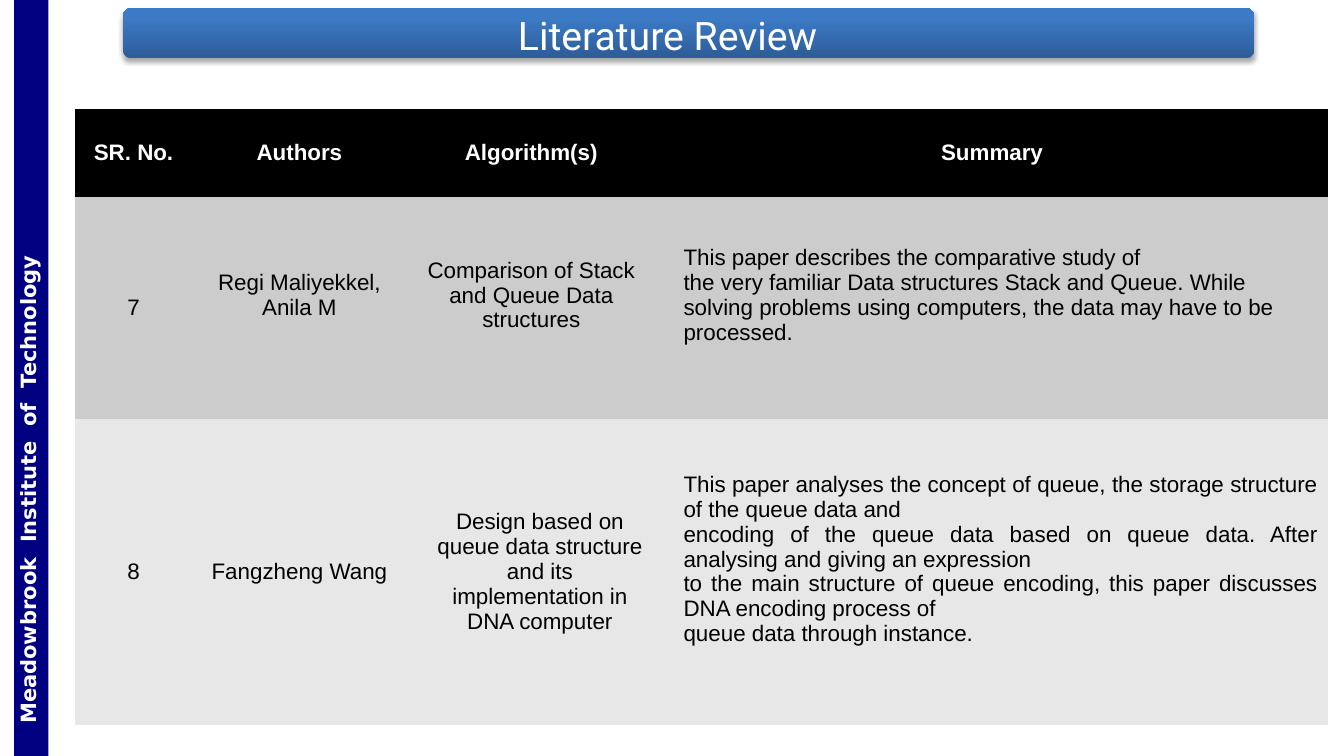
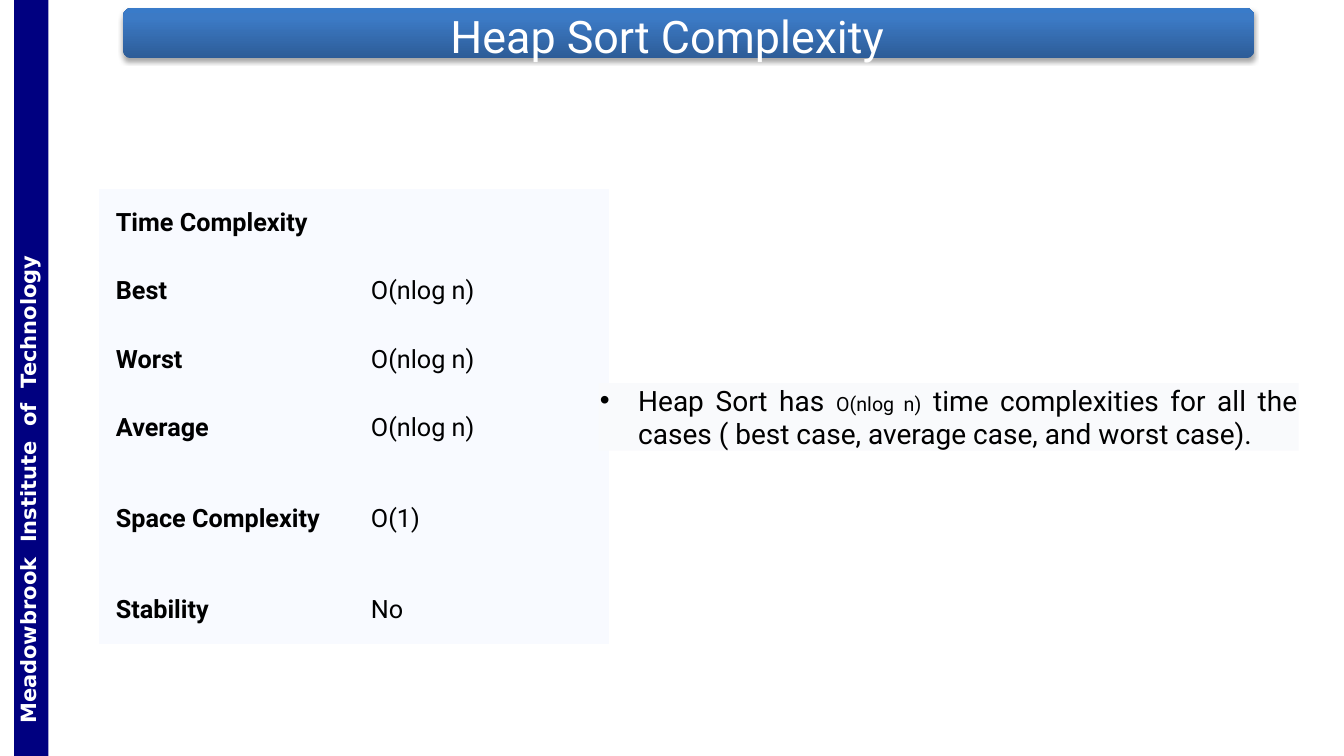
import copy
from dataclasses import dataclass, field

import lxml.etree
import pptx
import pptx.dml.color
import pptx.enum.shapes
import pptx.enum.text
import pptx.oxml
import pptx.oxml.ns
import pptx.util

Inches = pptx.util.Inches
Pt = pptx.util.Pt
ALIGN = pptx.enum.text.PP_ALIGN
MIDDLE = pptx.enum.text.MSO_ANCHOR.MIDDLE
SHAPES = pptx.enum.shapes.MSO_SHAPE
qn = pptx.oxml.ns.qn
NO_GRID_STYLE = "{2D5ABB26-0587-4C30-8999-92F81FD0307C}"


@dataclass(frozen=True)
class Theme:
    white: str = "FFFFFF"
    ink: str = "000000"
    navy: str = "000080"
    bar_stops: tuple = ((0, "2D5C97"), (0.8, "3C7AC5"), (1, "397BC9"))
    header_row: str = "000000"
    odd_row: str = "CCCCCC"
    even_row: str = "E7E7E7"
    complexity: str = "F8FAFF"
    remark: str = "F9FAFC"
    heading_font: str = "Roboto"
    review_font: str = "Arial"
    side_font: str = "DejaVu Sans"
    side_size: int = 15
    review_size: int = 16
    complexity_size: int = 18
    remark_size: int = 20
    notation_size: int = 14


THEME = Theme()


@dataclass(frozen=True)
class Run:
    text: str
    size: float
    font: str
    color: str = THEME.ink
    bold: bool = False


@dataclass(frozen=True)
class Cell:
    lines: tuple[str, ...]
    fill: str
    size: int
    font: str
    color: str = THEME.ink
    bold: bool = False
    align: ALIGN = ALIGN.LEFT
    indent: float = 0
    margins: dict = field(default_factory=dict)


def rgb(value: str) -> pptx.dml.color.RGBColor:
    return pptx.dml.color.RGBColor.from_string(value)


def apply_format(target, values: dict) -> None:
    for name, value in values.items():
        setattr(target, name, value)


def margins(left: float, top: float, right: float, bottom: float) -> dict:
    return {
        "margin_left": Inches(left), "margin_top": Inches(top),
        "margin_right": Inches(right), "margin_bottom": Inches(bottom),
    }


def add_run(paragraph, run: Run):
    part = paragraph.add_run()
    part.text = run.text
    apply_format(part.font, {"size": Pt(run.size), "name": run.font, "bold": run.bold})
    part.font.color.rgb = rgb(run.color)
    return part


def set_indent(paragraph, left: float, first_line: float = 0) -> None:
    properties = paragraph._p.get_or_add_pPr()
    properties.set("marL", str(Inches(left)))
    properties.set("indent", str(Inches(first_line)))


def add_plain_shape(slide, kind, left: float, top: float, width: float, height: float):
    """Add a preset shape without outline or shadow."""
    shape = slide.shapes.add_shape(
        kind, Inches(left), Inches(top), Inches(width), Inches(height))
    shape.line.fill.background()
    shape.shadow.inherit = False
    return shape


def add_title_bar(slide) -> None:
    bar = add_plain_shape(slide, SHAPES.ROUNDED_RECTANGLE, 1.22, 0.08, 11.22, 0.5)
    bar.fill.gradient()
    bar.fill.gradient_angle = 90
    stop_list = bar.element.spPr.find(".//" + qn("a:gsLst"))
    stop_list.append(copy.deepcopy(stop_list[0]))
    for stop, (position, color) in zip(bar.fill.gradient_stops, THEME.bar_stops):
        stop.position = position
        stop.color.rgb = rgb(color)
    effects = bar.element.spPr.find(qn("a:effectLst"))
    shadow = lxml.etree.SubElement(
        effects, qn("a:outerShdw"), blurRad=str(Pt(3.1)), dist=str(Pt(1.8)),
        dir="5400000", rotWithShape="0")
    shade = lxml.etree.SubElement(shadow, qn("a:srgbClr"), val=THEME.ink)
    lxml.etree.SubElement(shade, qn("a:alpha"), val="34000")


def add_side_band(slide) -> None:
    """Draw the vertical institute band, with wide gaps between its words."""
    band = add_plain_shape(slide, SHAPES.RECTANGLE, -3.44, 3.58, 7.5, 0.34)
    band.rotation = 270
    band.fill.solid()
    band.fill.fore_color.rgb = rgb(THEME.navy)
    apply_format(band.text_frame, {
        **margins(0.32, 0.01, 0.1, 0.07),
        "vertical_anchor": pptx.enum.text.MSO_ANCHOR.TOP, "word_wrap": True})
    paragraph = band.text_frame.paragraphs[0]
    paragraph.alignment = ALIGN.LEFT
    style = (THEME.side_size, THEME.side_font, THEME.white, True)
    for index, word in enumerate(("Meadowbrook", "Institute", "of", "Technology")):
        if index:
            gap = add_run(paragraph, Run(" ", *style))
            gap.font._element.set("spc", "520")
        add_run(paragraph, Run(word, *style))


def add_framed_slide(deck, title: str, title_size: int):
    """Add a blank slide with the shared bar, band and title."""
    slide = deck.slides.add_slide(deck.slide_layouts[6])
    add_title_bar(slide)
    add_side_band(slide)
    heading = slide.shapes.add_textbox(Inches(2.4), 0, Inches(8.44), Inches(0.7))
    apply_format(heading.text_frame, {"word_wrap": True, "vertical_anchor": MIDDLE})
    paragraph = heading.text_frame.paragraphs[0]
    paragraph.alignment = ALIGN.CENTER
    add_run(paragraph, Run(title, title_size, THEME.heading_font, THEME.white))
    return slide


def fill_cell(target, cell: Cell) -> None:
    target.fill.solid()
    target.fill.fore_color.rgb = rgb(cell.fill)
    apply_format(target, {"vertical_anchor": MIDDLE, **cell.margins})
    for index, line in enumerate(cell.lines):
        frame = target.text_frame
        paragraph = frame.add_paragraph() if index else frame.paragraphs[0]
        paragraph.alignment = cell.align
        if cell.indent:
            set_indent(paragraph, cell.indent)
        add_run(paragraph, Run(line, cell.size, cell.font, cell.color, cell.bold))


def add_grid(slide, left: float, top: float, widths: tuple[float, ...],
             heights: tuple[float, ...], rows: list[list[Cell]]) -> None:
    table = slide.shapes.add_table(
        len(heights), len(widths), Inches(left), Inches(top),
        Inches(sum(widths)), Inches(sum(heights))).table
    apply_format(table, {"first_row": False, "horz_banding": False})
    table._tbl.tblPr.find(qn("a:tableStyleId")).text = NO_GRID_STYLE
    for column, width in zip(table.columns, widths):
        column.width = Inches(width)
    for row, height, cells in zip(table.rows, heights, rows):
        row.height = Inches(height)
        for target, cell in zip(row.cells, cells):
            fill_cell(target, cell)


def review_cell(fill: str, *lines: str, **options) -> Cell:
    options = {"align": ALIGN.CENTER, **options}
    return Cell(lines, fill, THEME.review_size, THEME.review_font, **options)


def add_literature_review(deck) -> None:
    slide = add_framed_slide(deck, "Literature Review", 28)
    headers = ("SR. No.", "Authors", "Algorithm(s)", "Summary")
    raised = {"margins": {"margin_bottom": Inches(0.3)}}
    summary = {"align": ALIGN.JUSTIFY, "indent": 0.17, **raised}
    odd, even = THEME.odd_row, THEME.even_row
    rows = [
        [review_cell(THEME.header_row, name, color=THEME.white, bold=True)
         for name in headers],
        [review_cell(odd, "7"),
         review_cell(odd, "Regi Maliyekkel, Anila M", **raised),
         review_cell(odd, "Comparison of Stack and Queue Data structures", **raised),
         review_cell(
             odd,
             "This paper describes the comparative study of",
             "the very familiar Data structures Stack and Queue. While",
             "solving problems using computers, the data may have to be",
             "processed.", **summary)],
        [review_cell(even, "8"),
         review_cell(even, "Fangzheng Wang"),
         review_cell(even, "Design based on queue data structure and its "
                     "implementation in DNA computer", indent=0.17),
         review_cell(
             even,
             "This paper analyses the concept of queue, the storage structure "
             "of the queue data and",
             "encoding of the queue data based on queue data. After analysing "
             "and giving an expression",
             "to the main structure of queue encoding, this paper discusses "
             "DNA encoding process of",
             "queue data through instance.", **summary)],
    ]
    add_grid(slide, 0.74, 1.08, (1.17, 2.12, 2.48, 6.66), (0.87, 2.21, 3.03), rows)


def complexity_cell(text: str, bold: bool) -> Cell:
    return Cell((text,) if text else (), THEME.complexity, THEME.complexity_size,
                THEME.heading_font, bold=bold,
                margins=margins(0.17, 0.08, 0.17, 0.08))


def add_remark(slide) -> None:
    remark = add_plain_shape(slide, SHAPES.RECTANGLE, 5.94, 3.8, 6.94, 0.67)
    remark.fill.solid()
    remark.fill.fore_color.rgb = rgb(THEME.remark)
    apply_format(remark.text_frame, {
        **margins(0.01, 0, 0.01, 0), "vertical_anchor": MIDDLE, "word_wrap": True})
    paragraph = remark.text_frame.paragraphs[0]
    paragraph.alignment = ALIGN.JUSTIFY
    set_indent(paragraph, 0.38, -0.38)
    properties = paragraph._p.get_or_add_pPr()
    lxml.etree.SubElement(properties, qn("a:buFont"), typeface=THEME.review_font)
    lxml.etree.SubElement(properties, qn("a:buChar"), char="•")
    for text, size in (
        ("Heap Sort has ", THEME.remark_size),
        ("O(nlog n)", THEME.notation_size),
        (" time complexities for all the cases ( best case, average case, "
         "and worst case).", THEME.remark_size),
    ):
        add_run(paragraph, Run(text, size, THEME.heading_font))


def add_heap_sort_complexity(deck) -> None:
    slide = add_framed_slide(deck, "Heap Sort Complexity", 32)
    facts = (
        ("Time Complexity", ""),
        ("Best", "O(nlog n)"),
        ("Worst", "O(nlog n)"),
        ("Average", "O(nlog n)"),
        ("Space Complexity", "O(1)"),
        ("Stability", "No"),
    )
    rows = [[complexity_cell(label, True), complexity_cell(value, False)]
            for label, value in facts]
    heights = (0.68,) * 4 + (1.12, 0.68)
    add_grid(slide, 0.98, 1.87, (2.53, 2.53), heights, rows)
    add_remark(slide)


def main() -> None:
    deck = pptx.Presentation()
    apply_format(deck, {"slide_width": Inches(13.33), "slide_height": Inches(7.5)})
    add_literature_review(deck)
    add_heap_sort_complexity(deck)
    deck.save("out.pptx")


if __name__ == "__main__":
    main()
